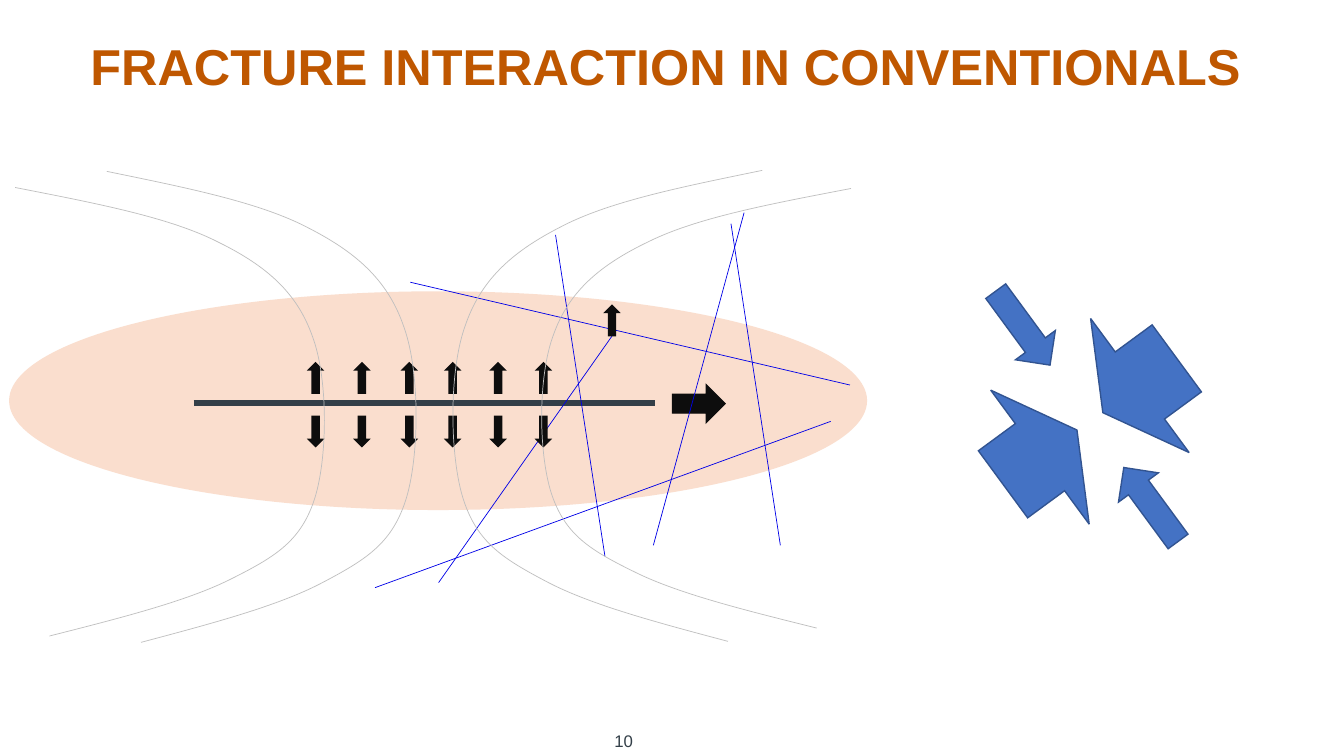
from math import cos, radians, sin
from lxml.etree import SubElement
from pptx import Presentation
from pptx.dml.color import RGBColor
from pptx.enum.shapes import MSO_CONNECTOR, MSO_SHAPE
from pptx.enum.text import MSO_ANCHOR, PP_ALIGN
from pptx.oxml.ns import qn
from pptx.util import Pt

PX = 9144
TILT = 4.2
COLORS = {
    "title": "BF5700", "slate": "333F48", "zone": "FADECE", "crack": "0000E7",
    "push": "0D0D0D", "stress": "4472C4", "edge": "325491", "curve": "BFBFBF",
}
CRACKS = [
    (600, 552, 551, 233), (372, 583, 824, 418), (648, 541, 738, 211),
    (774, 541, 725, 222), (435, 578, 608, 332),
]
STRESS = [
    (990, 280, 49, 91, 323.7), (1048, 337, 165, 91, 53.7),
    (949, 408, 165, 91, 233.7), (1117, 455, 49, 91, 143.7),
]
BEND = [
    (0, 0), (76, 15), (152, 29), (201, 54), (250, 78), (280, 105),
    (295, 148), (311, 191), (310, 272), (296, 312), (282, 352),
    (257, 367), (213, 389), (169, 411), (101, 428), (34, 445),
]
CURVES = [(15, 186, 1, 1), (106, 170, 1, 1.05), (756, 169, -1, 1.05), (844, 187, -1, 0.98)]


def color(name):
    """Return the named colour."""
    return RGBColor.from_string(COLORS[name])


def add_text(slide, box, text, size, tint, bold=False):
    """Add one centred line of text."""
    frame = slide.shapes.add_textbox(*(n * PX for n in box)).text_frame
    frame.word_wrap = True
    frame.vertical_anchor = MSO_ANCHOR.MIDDLE
    para = frame.paragraphs[0]
    para.text = text
    para.alignment = PP_ALIGN.CENTER
    font = para.font
    font.name, font.size, font.bold = "Arial", Pt(size), bold
    font.color.rgb = color(tint)


def add_form(shapes, kind, box, fill, edge=None, turn=0):
    """Add a filled preset shape, with sharp outline if an edge colour is given."""
    form = shapes.add_shape(kind, *(n * PX for n in box))
    form.shadow.inherit = False
    form.rotation = turn
    form.fill.solid()
    form.fill.fore_color.rgb = color(fill)
    if edge:
        form.line.color.rgb = color(edge)
        form.line.width = Pt(1)
        SubElement(form._element.spPr.find(qn("a:ln")), qn("a:miter"), lim="800000")
    else:
        form.line.fill.background()


def add_line(slide, ends, tint, width):
    """Add a straight line."""
    line = slide.shapes.add_connector(MSO_CONNECTOR.STRAIGHT, *(n * PX for n in ends))
    line.line.color.rgb = color(tint)
    line.line.width = Pt(width)
    SubElement(line._element.spPr, qn("a:effectLst"))


def bend(shape):
    """Turn each three straight segments of a freeform into one cubic curve."""
    parts = list(shape._element.iter(qn("a:lnTo")))
    for first in range(0, len(parts), 3):
        cubic = SubElement(parts[first].getparent(), qn("a:cubicBezTo"))
        for part in parts[first:first + 3]:
            cubic.append(part[0])
            part.getparent().remove(part)


def add_curve(slide, left, top, side, stretch):
    """Add a tilted stress curve that bends to the given side."""
    angle = radians(side * TILT)
    turn = complex(cos(angle), sin(angle))
    flat = [complex(left + side * x, top + stretch * y) * PX / turn for x, y in BEND]
    points = [(knot.real, knot.imag) for knot in flat]
    pen = slide.shapes.build_freeform(*points[0])
    pen.add_line_segments(points[1:], close=False)
    curve = pen.convert_to_shape()
    bend(curve)
    half = complex(curve.width, curve.height) / 2
    spot = (complex(curve.left, curve.top) + half) * turn - half
    curve.left, curve.top = round(spot.real), round(spot.imag)
    curve.rotation = side * TILT
    curve.shadow.inherit = False
    curve.fill.background()
    curve.line.color.rgb = color("curve")
    curve.line.width = Pt(0.5)


def main():
    """Build the slide and save it."""
    deck = Presentation()
    deck.slide_width, deck.slide_height = 1333 * PX, 750 * PX
    slide = deck.slides.add_slide(deck.slide_layouts[6])
    shapes = slide.shapes
    arrow = MSO_SHAPE.RIGHT_ARROW

    add_text(slide, (594, 720, 49, 30), "10", 12, "slate")
    add_form(shapes, MSO_SHAPE.OVAL, (9, 289, 851, 217), "zone")
    add_text(slide, (25, 29, 1271, 71), "FRACTURE INTERACTION IN CONVENTIONALS", 36, "title", True)
    add_line(slide, (192, 400, 650, 400), "slate", 4.5)
    add_line(slide, (407, 280, 843, 382), "crack", 0.5)
    add_form(shapes, arrow, (667, 382, 52, 37), "push", "push")
    for ends in CRACKS:
        add_line(slide, ends, "crack", 0.5)

    group = shapes.add_group_shape()
    for *box, turn in STRESS:
        add_form(group.shapes, MSO_SHAPE.DOWN_ARROW, box, "stress", "edge", turn)

    for top, turn in ((368, 270), (421, 90)):
        for left in (434, 479, 524, 391, 344, 298):
            add_form(shapes, arrow, (left, top, 30, 14), "push", "push", turn)
    add_form(shapes, arrow, (592, 311, 30, 14), "push", "push", 270)
    for curve in CURVES:
        add_curve(slide, *curve)
    deck.save("out.pptx")


if __name__ == "__main__":
    main()
